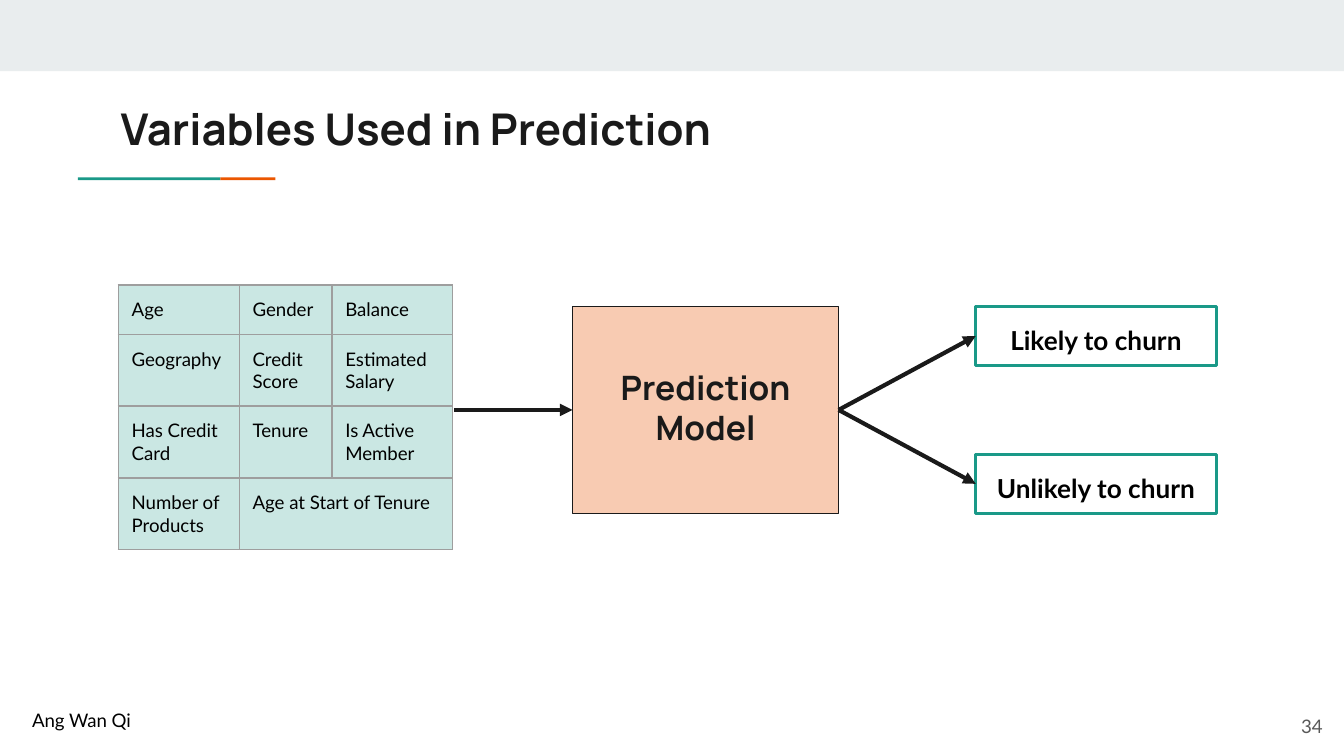
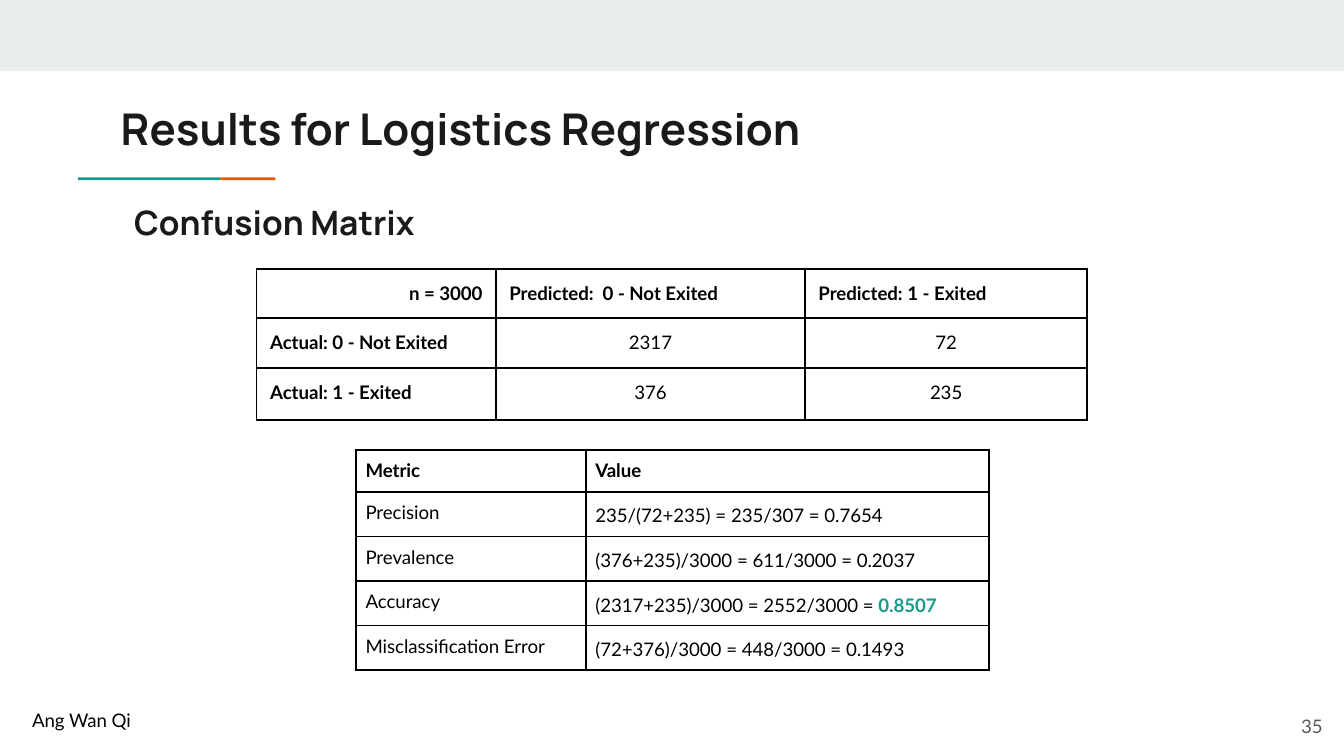
import dataclasses
import pptx
import pptx.util
import pptx.dml.color
import pptx.enum.shapes
import pptx.enum.text
import pptx.oxml
import pptx.oxml.ns
from lxml import etree

Inches = pptx.util.Inches
Pt = pptx.util.Pt
Align = pptx.enum.text.PP_ALIGN
Anchor = pptx.enum.text.MSO_ANCHOR
qn = pptx.oxml.ns.qn


@dataclasses.dataclass(frozen=True)
class Theme:
    ink: str = "1A1A1A"
    black: str = "000000"
    grey: str = "595959"
    rule: str = "9E9E9E"
    band: str = "E9EDEE"
    teal: str = "1A9988"
    orange: str = "EB5600"
    white: str = "FFFFFF"
    heading: str = "Manrope"
    body: str = "Lato"
    title_size: float = 23.4
    subtitle_size: float = 18
    label_size: float = 14
    text_size: float = 10
    inset: float = 0.1


THEME = Theme()
AUTHOR = "Ang Wan Qi"
FIRST_PAGE = 34
TITLES = ["Variables Used in Prediction", "Results for Logistics Regression"]

VARIABLES = [
    ["Age", "Gender", "Balance"],
    ["Geography", "Credit Score", "Estimated Salary"],
    ["Has Credit Card", "Tenure", "Is Active Member"],
    ["Number of Products", "Age at Start of Tenure", ""],
]
MODEL = "Prediction Model"
OUTCOMES = ["Likely to churn", "Unlikely to churn"]

SUBTITLE = "Confusion Matrix"
CONFUSION = [
    ["n = 3000", "Predicted:  0 - Not Exited", "Predicted: 1 - Exited"],
    ["Actual: 0 - Not Exited", "2317", "72"],
    ["Actual: 1 - Exited", "376", "235"],
]
METRICS = [
    ["Metric", "Value"],
    ["Precision", "235/(72+235) = 235/307 = 0.7654"],
    ["Prevalence", "(376+235)/3000 = 611/3000 = 0.2037"],
    ["Accuracy", "(2317+235)/3000 = 2552/3000 = "],
    ["Misclassification Error", "(72+376)/3000 = 448/3000 = 0.1493"],
]
BEST_ACCURACY = "0.8507"


def rgb(color):
    return pptx.dml.color.RGBColor.from_string(color)


def paint(fill, owner, color, opacity=100):
    fill.solid()
    fill.fore_color.rgb = rgb(color)
    if opacity < 100:
        tint = owner.find(qn("a:solidFill")).find(qn("a:srgbClr"))
        etree.SubElement(tint, qn("a:alpha"), val=str(opacity * 1000))


def style_font(font, size, color, bold=False, face=THEME.body):
    font.size = Pt(size)
    font.name = face
    font.bold = bold
    font.color.rgb = rgb(color)


def write(frame, text, size, color, bold=False, face=THEME.body,
          align=Align.LEFT, anchor=Anchor.TOP, spacing=None):
    frame.word_wrap = True
    frame.vertical_anchor = anchor
    frame.margin_left = frame.margin_right = Inches(THEME.inset)
    frame.margin_top = frame.margin_bottom = Inches(THEME.inset)
    para = frame.paragraphs[0]
    para.text = text
    para.alignment = align
    para.line_spacing = spacing
    style_font(para.font, size, color, bold, face)


def add_text(page, place, text, size, color, **style):
    box = page.shapes.add_textbox(*map(Inches, place))
    write(box.text_frame, text, size, color, **style)


def add_heading(page, place, text, size, **style):
    add_text(page, place, text, size, THEME.ink, bold=True, face=THEME.heading, **style)


def add_box(page, place, color, opacity=100, line=None, weight=0):
    box = page.shapes.add_shape(
        pptx.enum.shapes.MSO_SHAPE.RECTANGLE, *map(Inches, place))
    box.shadow.inherit = False
    paint(box.fill, box._element.spPr, color, opacity)
    if line:
        box.line.color.rgb = rgb(line)
        box.line.width = Pt(weight)
    else:
        box.line.fill.background()
    return box


def add_arrow(page, start, end):
    arrow = page.shapes.add_connector(
        pptx.enum.shapes.MSO_CONNECTOR.STRAIGHT, *map(Inches, (*start, *end)))
    arrow.line.color.rgb = rgb(THEME.ink)
    arrow.line.width = Pt(2.25)
    etree.SubElement(arrow.line._get_or_add_ln(), qn("a:tailEnd"), type="triangle")
    etree.SubElement(arrow._element.spPr, qn("a:effectLst"))


def add_border(cell, color, weight):
    properties = cell._tc.get_or_add_tcPr()
    for side in ("a:lnL", "a:lnR", "a:lnT", "a:lnB"):
        edge = etree.SubElement(properties, qn(side), w=str(Pt(weight)))
        etree.SubElement(etree.SubElement(edge, qn("a:solidFill")),
                         qn("a:srgbClr"), val=color)


def add_grid(page, corner, columns, rows, content, style_cell,
             border, weight, inset=THEME.inset, tint=None):
    table = page.shapes.add_table(
        len(rows), len(columns),
        *map(Inches, (*corner, sum(columns), sum(rows)))).table
    table.first_row = table.horz_banding = False
    for column, width in zip(table.columns, columns):
        column.width = Inches(width)
    for row, height in zip(table.rows, rows):
        row.height = Inches(height)
    for r, texts in enumerate(content):
        for c, text in enumerate(texts):
            cell = table.cell(r, c)
            cell.margin_left = cell.margin_right = Inches(inset)
            cell.margin_top = cell.margin_bottom = Inches(inset)
            bold, align, spacing = style_cell(r, c)
            para = cell.text_frame.paragraphs[0]
            para.text = text
            para.alignment = align
            para.line_spacing = spacing
            style_font(para.font, THEME.text_size, THEME.black, bold)
            add_border(cell, border, weight)
            if tint:
                paint(cell.fill, cell._tc.tcPr, *tint)
            else:
                cell.fill.background()
    return table


def plain_cell(row, column):
    return False, Align.LEFT, None


def confusion_cell(row, column):
    header = row == 0 or column == 0
    if row == column == 0:
        return True, Align.RIGHT, None
    return header, Align.LEFT if header else Align.CENTER, None


def metric_cell(row, column):
    if row and column:
        return False, Align.JUSTIFY, 1.15
    return row == 0, Align.LEFT, None


def add_page(deck, number, title):
    page = deck.slides.add_slide(deck.slide_layouts[6])
    page.background.fill.solid()
    page.background.fill.fore_color.rgb = rgb(THEME.white)
    add_box(page, (0, 0, 10, 0.53), THEME.band)
    add_box(page, (0.58, 1.32, 1.06, 0.02), THEME.teal)
    add_box(page, (1.64, 1.32, 0.41, 0.02), THEME.orange)
    add_text(page, (9.34, 5.19, 0.6, 0.43), str(number), THEME.text_size,
             THEME.grey, align=Align.RIGHT, anchor=Anchor.MIDDLE)
    add_heading(page, (0.8, 0.66, 8.41, 0.59), title, THEME.title_size)
    add_text(page, (0.14, 5.19, 1.13, 0.37), AUTHOR, THEME.text_size, THEME.black)
    return page


def fill_variables(page):
    table = add_grid(page, (0.88, 2.12), [0.9, 0.69, 0.9], [0.36, 0.53, 0.53, 0.53],
                     VARIABLES, plain_cell, THEME.rule, 0.75, tint=(THEME.teal, 23))
    table.cell(3, 1).merge(table.cell(3, 2))

    left, top, width, height = model = (4.26, 2.28, 1.98, 1.54)
    middle = top + height / 2
    add_box(page, model, THEME.orange, 30, THEME.ink, 0.75)
    add_heading(page, (4.4, 2.63, 1.7, 0.95), MODEL, THEME.subtitle_size,
                align=Align.CENTER)
    add_arrow(page, (3.38, middle), (left, middle))

    outcome_left, outcome_height = 7.26, 0.44
    for index, outcome in enumerate(OUTCOMES):
        outcome_top = top + index * (height - outcome_height)
        box = add_box(page, (outcome_left, outcome_top, 1.79, outcome_height),
                      THEME.white, line=THEME.teal, weight=1.5)
        write(box.text_frame, outcome, THEME.label_size, THEME.black, bold=True,
              align=Align.CENTER, spacing=1.15)
        box.text_frame.paragraphs[0].space_after = Pt(8)
        add_arrow(page, (left + width, middle),
                  (outcome_left, outcome_top + outcome_height / 2))


def fill_results(page):
    add_heading(page, (0.9, 1.4, 2.78, 0.55), SUBTITLE, THEME.subtitle_size)
    add_grid(page, (1.91, 2), [1.78, 2.3, 2.1], [0.36, 0.37, 0.39],
             CONFUSION, confusion_cell, THEME.black, 1)
    metrics = add_grid(page, (2.65, 3.35), [1.71, 3], [0.31] + [0.33] * 4,
                       METRICS, metric_cell, THEME.black, 1, inset=0.07)
    span = metrics.cell(3, 1).text_frame.paragraphs[0].add_run()
    span.text = BEST_ACCURACY
    span.font.bold = True
    span.font.color.rgb = rgb(THEME.teal)


deck = pptx.Presentation()
deck.slide_width = Inches(10)
deck.slide_height = deck.slide_width * 9 // 16
for offset, (title, fill_page) in enumerate(zip(TITLES, (fill_variables, fill_results))):
    fill_page(add_page(deck, FIRST_PAGE + offset, title))
deck.save("out.pptx")
